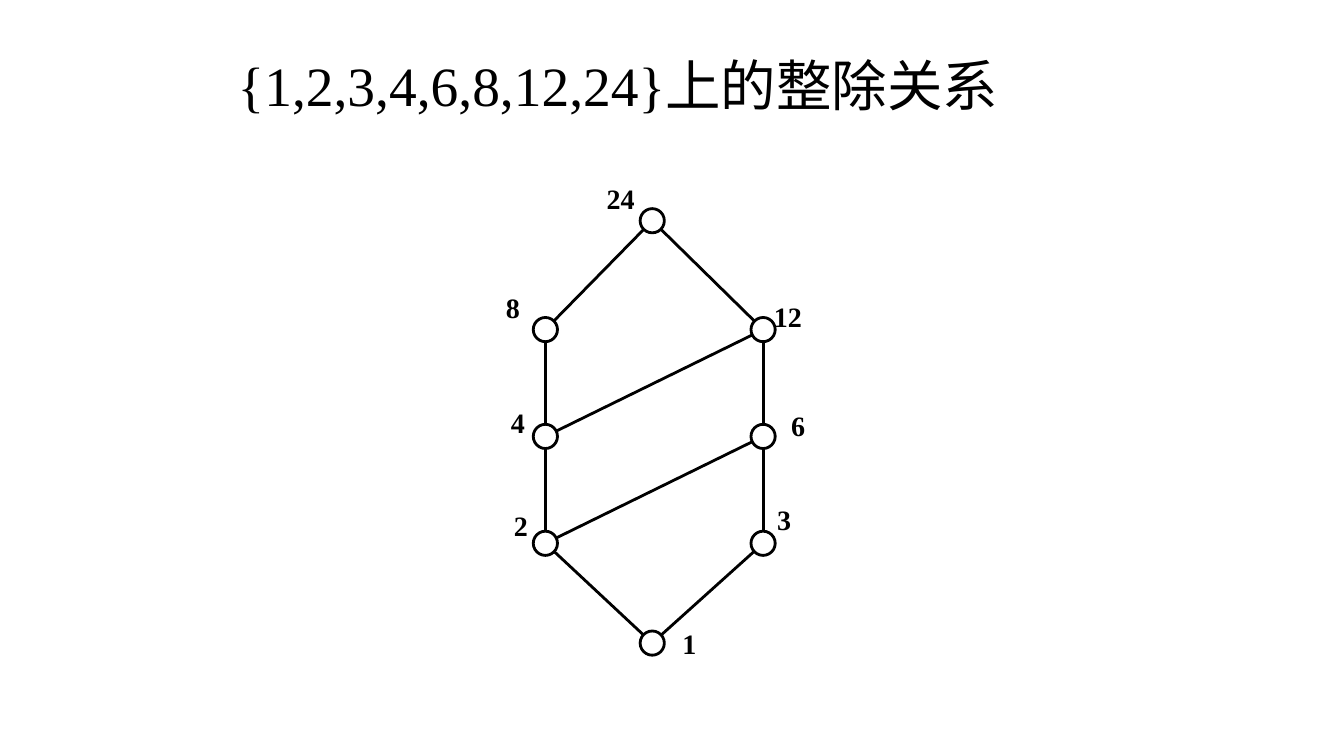
import math
import pptx
import pptx.util
import pptx.dml.color
import pptx.enum.shapes
import pptx.enum.text
import pptx.oxml

INK = {"black": "000000"}
COLS = (40.58, 48.53, 56.78)
ROWS = (29.2, 43.6, 57.73, 71.87, 85.07)

# number: (column, row, label box as left, top, width, height in % of slide)
NODES = {
    "24": (1, 0, (44.4, 23.33, 7.88, 11.33)),
    "8": (0, 1, (36.9, 37.73, 6.15, 10.53)),
    "12": (2, 1, (56.85, 38.93, 6.23, 5.73)),
    "4": (0, 2, (37.28, 52.93, 8.85, 14.93)),
    "6": (2, 2, (58.13, 53.33, 5.78, 10.13)),
    "2": (0, 3, (37.5, 66.67, 6.6, 12.67)),
    "3": (2, 3, (57.08, 65.87, 9.38, 10)),
    "1": (1, 4, (50.03, 82.27, 6.23, 5.73)),
}
EDGES = (("24", "12"), ("24", "8"), ("8", "4"), ("12", "6"), ("4", "2"),
         ("6", "3"), ("2", "1"), ("3", "1"), ("2", "6"), ("4", "12"))


class Hasse:
    font = "Times New Roman"
    width = pptx.util.Pt(2)
    radius = pptx.util.Inches(0.12)

    def __init__(self, deck):
        self.deck = deck
        self.slide = deck.slides.add_slide(deck.slide_layouts[6])

    def point(self, left, top):
        """Turn shares of the slide, in percent, into lengths."""
        return (round(self.deck.slide_width * left / 100),
                round(self.deck.slide_height * top / 100))

    def color(self, name="black"):
        return pptx.dml.color.RGBColor.from_string(INK[name])

    def stroke(self, line):
        line.color.rgb = self.color()
        line.width = self.width

    def center(self, name):
        col, row, _ = NODES[name]
        return self.point(COLS[col], ROWS[row])

    def node(self, name):
        x, y = self.center(name)
        r = self.radius
        ring = self.slide.shapes.add_shape(
            pptx.enum.shapes.MSO_SHAPE.OVAL, x - r, y - r, 2 * r, 2 * r)
        ring.shadow.inherit = False
        ring.fill.background()
        self.stroke(ring.line)

    def edge(self, start, end):
        """Join two nodes, from rim to rim."""
        (x1, y1), (x2, y2) = self.center(start), self.center(end)
        part = self.radius / math.hypot(x2 - x1, y2 - y1)
        dx, dy = round((x2 - x1) * part), round((y2 - y1) * part)
        line = self.slide.shapes.add_connector(
            pptx.enum.shapes.MSO_CONNECTOR.STRAIGHT,
            x1 + dx, y1 + dy, x2 - dx, y2 - dy)
        self.stroke(line.line)
        props = line._element.spPr
        props.append(pptx.oxml.parse_xml(
            '<a:effectLst xmlns:a="http://schemas.openxmlformats.org/'
            'drawingml/2006/main"/>'))

    def text(self, words, box, size=20, bold=True):
        shape = self.slide.shapes.add_textbox(
            *self.point(*box[:2]), *self.point(*box[2:]))
        frame = shape.text_frame
        frame.word_wrap = True
        frame.text = words
        font = frame.paragraphs[0].runs[0].font
        font.name, font.size, font.bold = self.font, pptx.util.Pt(size), bold
        font.color.rgb = self.color()
        return frame

    def title(self, words):
        frame = self.text(words, (16.95, 4.8, 61.88, 13.73), 39.6, False)
        frame.vertical_anchor = pptx.enum.text.MSO_ANCHOR.MIDDLE
        frame.paragraphs[0].line_spacing = 0.9


def main():
    deck = pptx.Presentation()
    deck.slide_width = pptx.util.Inches(13.33)
    deck.slide_height = pptx.util.Inches(7.5)
    graph = Hasse(deck)
    for name, (_, _, box) in NODES.items():
        graph.node(name)
        graph.text(name, box)
    for start, end in EDGES:
        graph.edge(start, end)
    graph.title("{1,2,3,4,6,8,12,24}上的整除关系")
    deck.save("out.pptx")


if __name__ == "__main__":
    main()
